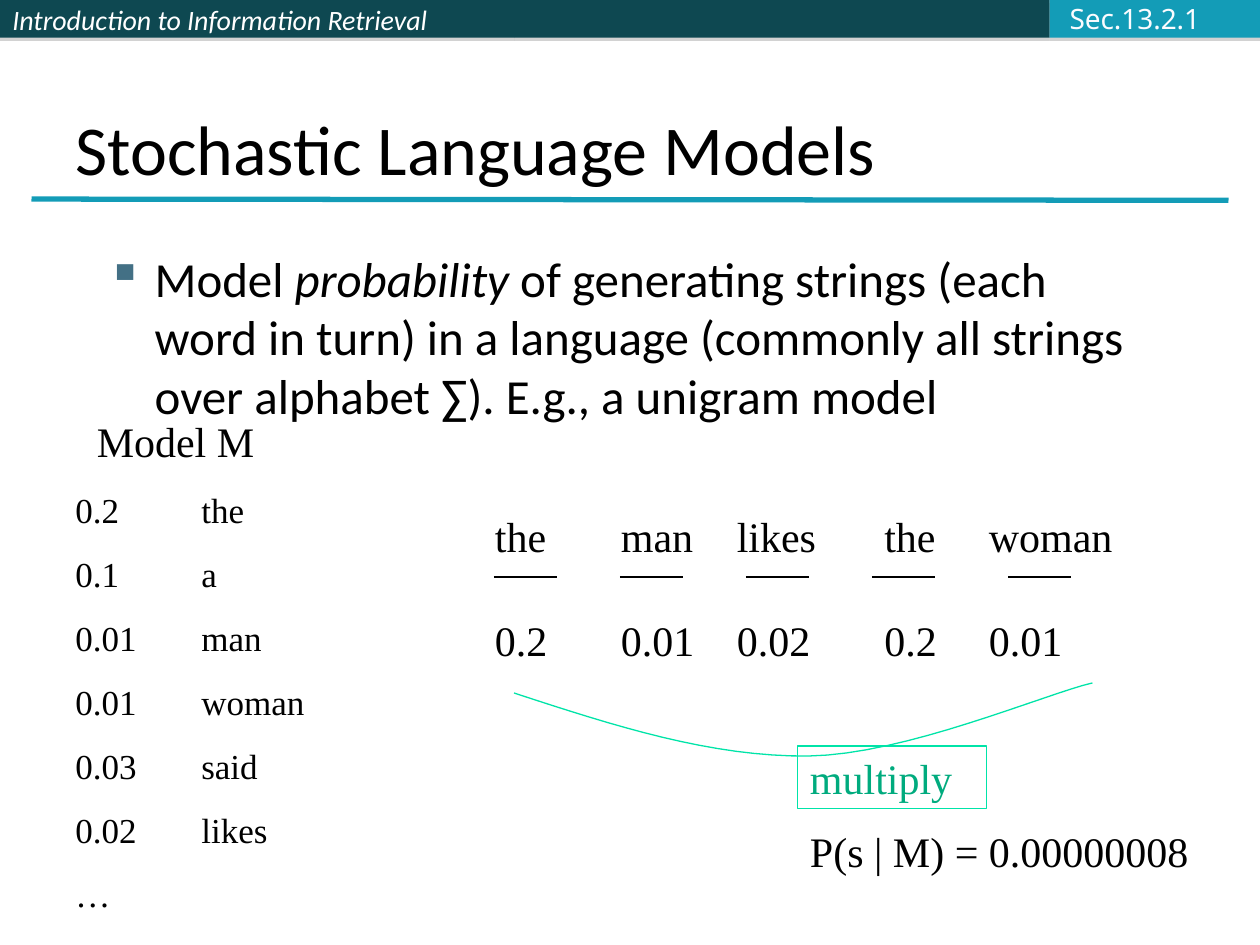
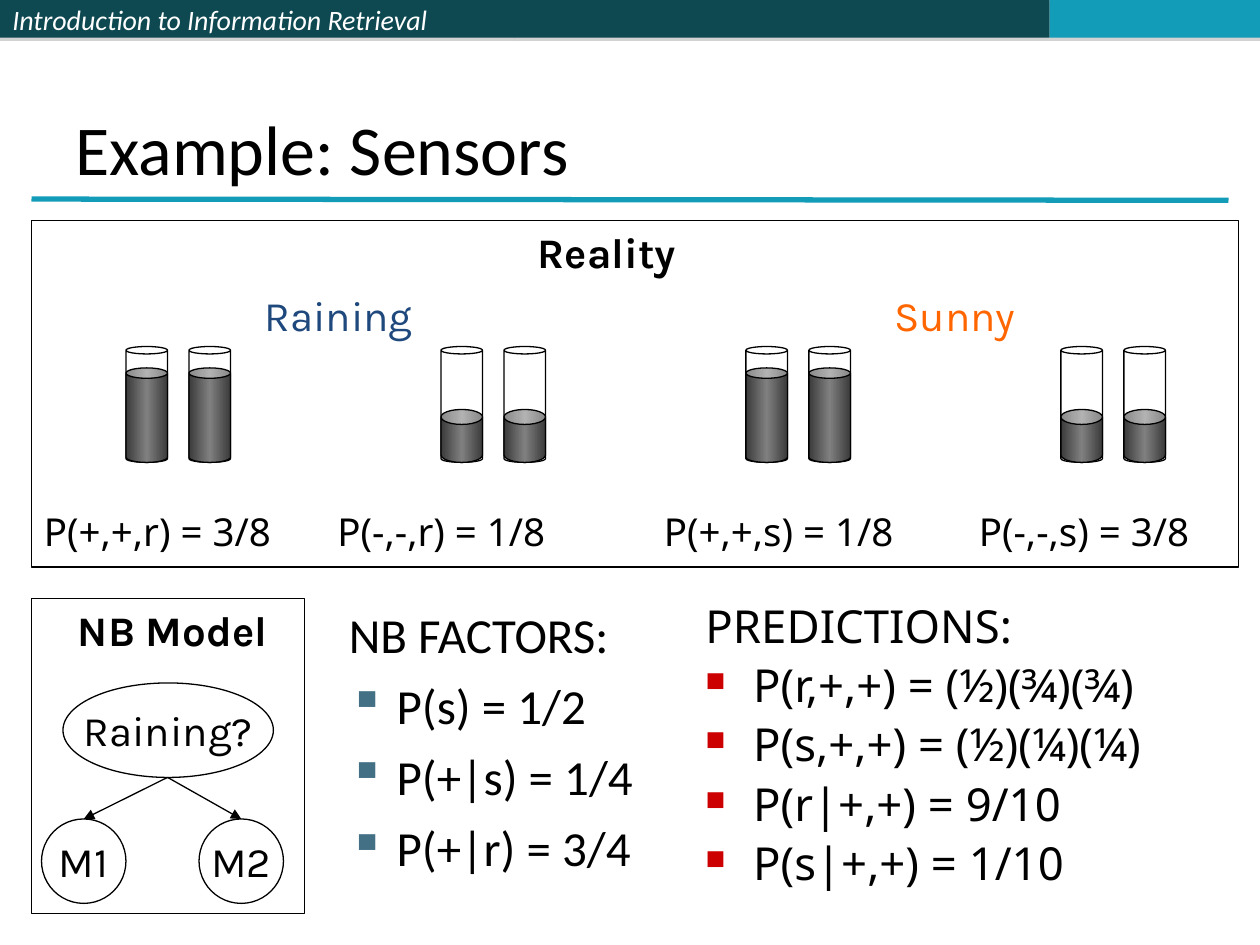
from pptx import Presentation
from pptx.dml.color import RGBColor
from pptx.enum.shapes import MSO_CONNECTOR, MSO_SHAPE
from pptx.enum.text import MSO_ANCHOR, PP_ALIGN
from pptx.oxml import parse_xml
from pptx.oxml.ns import nsdecls
from pptx.util import Inches, Pt

STRAIGHT = MSO_CONNECTOR.STRAIGHT
RECTANGLE, OVAL, CAN = MSO_SHAPE.RECTANGLE, MSO_SHAPE.OVAL, MSO_SHAPE.CAN
TOP, MIDDLE, BOTTOM = MSO_ANCHOR.TOP, MSO_ANCHOR.MIDDLE, MSO_ANCHOR.BOTTOM
LEFT, CENTER = PP_ALIGN.LEFT, PP_ALIGN.CENTER

BLACK = RGBColor(0x00, 0x00, 0x00)
WHITE = RGBColor(0xFF, 0xFF, 0xFF)
PALE = RGBColor(0xFB, 0xFC, 0xFF)
DARK_TEAL = RGBColor(0x0E, 0x48, 0x51)
TEAL = RGBColor(0x13, 0x9C, 0xB7)
SLATE = RGBColor(0x43, 0x70, 0x85)
RED = RGBColor(0xCC, 0x00, 0x00)
MINT = RGBColor(0x00, 0xE4, 0xA8)
GREEN = RGBColor(0x00, 0xAB, 0x7E)
NAVY = RGBColor(0x1F, 0x49, 0x7D)
ORANGE = RGBColor(0xFF, 0x66, 0x00)

CALIBRI, KARLA, NOTO, TIMES = "Calibri", "Karla", "Noto Sans", "Times New Roman"

BAND_SHADOW = (
    f'<a:outerShdw {nsdecls("a")} dist="22860" dir="5400000">'
    '<a:srgbClr val="808080"><a:alpha val="35000"/></a:srgbClr></a:outerShdw>'
)
LIQUID_FILL = (
    f'<a:gradFill {nsdecls("a")}><a:gsLst>'
    '<a:gs pos="0"><a:srgbClr val="3B3B3B"/></a:gs>'
    '<a:gs pos="50000"><a:srgbClr val="808080"/></a:gs>'
    '<a:gs pos="100000"><a:srgbClr val="3B3B3B"/></a:gs>'
    '</a:gsLst><a:lin ang="10800000" scaled="0"/></a:gradFill>'
)


def bezier(start, control_a, control_b, end, steps=16):
    """Points along a cubic curve, without its start."""
    points = []
    for step in range(1, steps + 1):
        t = step / steps
        weights = ((1 - t) ** 3, 3 * t * (1 - t) ** 2, 3 * t * t * (1 - t), t ** 3)
        corners = (start, control_a, control_b, end)
        points.append(tuple(
            sum(w * corner[axis] for w, corner in zip(weights, corners)) for axis in (0, 1)
        ))
    return points


class Lecture:
    """Shared style and the page being drawn."""

    def __init__(self):
        self.deck = Presentation()
        self.deck.slide_width, self.deck.slide_height = Inches(10), Inches(7.5)
        self.page = None

    def start_page(self, title):
        self.page = self.deck.slides.add_slide(self.deck.slide_layouts[6])
        # Header bands
        bands = [(0, 4.08, DARK_TEAL), (4.08, 4.25, DARK_TEAL), (8.33, 1.67, TEAL)]
        for left, width, color in bands:
            band = self.shape(RECTANGLE, left, 0, width, 0.3, fill=color, line=None)
            band._element.spPr.find("{*}effectLst").append(parse_xml(BAND_SHADOW))
            if left == 0:
                self.set_text(band, ["*Introduction to Information Retrieval*"], CALIBRI, 16,
                              WHITE, anchor=MIDDLE)
        # Title and rule
        self.line((0.25, 1.58), (9.75, 1.59), TEAL, 3)
        self.text(0.5, 0.3, 9, 1.25, [title], CALIBRI, 40, anchor=BOTTOM)

    def set_text(self, box, lines, font, size, color=BLACK, bold=False, align=LEFT,
                 anchor=TOP, wrap=True, before=0, spacing=None, tab=None, bullet=None,
                 heading=False):
        """Fill a box; text between asterisks is italic, bullet is (sign, colour, percent)."""
        frame = box.text_frame
        frame.word_wrap, frame.vertical_anchor = wrap, anchor
        for index, line in enumerate(lines):
            para = frame.paragraphs[0] if index == 0 else frame.add_paragraph()
            para.alignment = align
            para.space_before = Pt(before if index else 0)
            if spacing:
                para.line_spacing = spacing
            properties = para._p.get_or_add_pPr()
            if bullet:
                properties.set("marL", str(Inches(0.38)))
                properties.set("indent", str(Inches(-0.38)))
                if index or not heading:
                    sign, sign_color, percent = bullet
                    for xml in (
                        f'<a:buClr {nsdecls("a")}><a:srgbClr val="{sign_color}"/></a:buClr>',
                        f'<a:buSzPct {nsdecls("a")} val="{percent * 1000}"/>',
                        f'<a:buChar {nsdecls("a")} char="{sign}"/>',
                    ):
                        properties.append(parse_xml(xml))
            if tab:
                properties.append(parse_xml(
                    f'<a:tabLst {nsdecls("a")}><a:tab pos="{Inches(tab)}" algn="l"/></a:tabLst>'
                ))
            for part, words in enumerate(line.split("*")):
                if not words:
                    continue
                span = para.add_run()
                span.text = words
                span.font.name, span.font.size = font, Pt(size)
                span.font.bold, span.font.italic = bold, part % 2 == 1
                span.font.color.rgb = color

    def text(self, left, top, width, height, lines, font, size, color=BLACK, **style):
        box = self.page.shapes.add_textbox(
            Inches(left), Inches(top), Inches(width), Inches(height))
        self.set_text(box, lines, font, size, color, **style)

    def shape(self, kind, left, top, width, height, fill=None, line=BLACK):
        shape = self.page.shapes.add_shape(
            kind, Inches(left), Inches(top), Inches(width), Inches(height))
        self.paint(shape, fill, line)
        return shape

    def paint(self, shape, fill, line):
        shape.shadow.inherit = False
        if fill is None:
            shape.fill.background()
        else:
            shape.fill.solid()
            shape.fill.fore_color.rgb = fill
        if line is None:
            shape.line.fill.background()
        else:
            shape.line.color.rgb = line
            shape.line.width = Pt(0.75)

    def line(self, start, end, color=BLACK, width=0.75, arrow=False):
        line = self.page.shapes.add_connector(
            STRAIGHT, *(Inches(value) for value in (*start, *end)))
        line.line.color.rgb, line.line.width = color, Pt(width)
        properties = line._element.spPr
        if arrow:
            properties.find("{*}ln").append(
                parse_xml(f'<a:tailEnd {nsdecls("a")} type="triangle"/>'))
        properties.append(parse_xml(f'<a:effectLst {nsdecls("a")}/>'))
        return line

    def curve(self, points, color):
        points = [(Inches(x), Inches(y)) for x, y in points]
        builder = self.page.shapes.build_freeform(*points[0])
        builder.add_line_segments(points[1:], close=False)
        self.paint(builder.convert_to_shape(), None, color)

    def tube(self, left, level, lid):
        """A glass tube, filled up to the given height."""
        glass = self.shape(CAN, left, 2.75, 0.33, 0.92, fill=WHITE)
        glass.adjustments[0] = 0.18
        liquid = self.shape(CAN, left, 3.67 - level, 0.33, level)
        liquid.adjustments[0] = lid
        properties = liquid._element.spPr
        properties.replace(properties.find("{*}noFill"), parse_xml(LIQUID_FILL))


def language_models(lecture):
    lecture.start_page("Stochastic Language Models")
    lecture.text(8.39, -0.04, 1.24, 0.37, ["Sec.13.2.1"], NOTO, 16, PALE,
                 anchor=MIDDLE, wrap=False)
    lecture.text(0.75, 1.92, 8.5, 1.5, [
        "Model *probability* of generating strings (each word in turn) in a language "
        "(commonly all strings over alphabet ∑). E.g., a unigram model"
    ], CALIBRI, 28, bullet=("▪", SLATE, 100))

    # Model table
    lecture.text(0.67, 3.25, 1.5, 0.5, ["Model M"], TIMES, 24)
    lecture.text(0.5, 3.83, 2.67, 3.48, [
        "0.2\tthe", "0.1\ta", "0.01\tman", "0.01\twoman", "0.03\tsaid", "0.02\tlikes", "…",
    ], TIMES, 20, before=12.5, tab=1)

    # Sentence with a probability under each word
    words = [
        (3.83, 0.67, 3.92, "the", "0.2"),
        (4.83, 0.83, 4.92, "man", "0.01"),
        (5.75, 0.83, 5.92, "likes", "0.02"),
        (6.92, 0.83, 6.92, "the", "0.2"),
        (7.75, 1.5, 8, "woman", "0.01"),
    ]
    for left, width, dash, word, probability in words:
        lecture.text(left, 4, width, 0.5, [word], TIMES, 24)
        lecture.line((dash, 4.58), (dash + 0.5, 4.58))
        lecture.text(left, 4.83, width, 0.5, [probability], TIMES, 24)

    # Product
    start, bottom, end = (4.08, 5.5), (6.42, 6), (8.67, 5.42)
    lecture.curve([start] + bezier(start, (4.87, 5.76), (5.65, 6.01), bottom)
                  + bezier(bottom, (7.18, 5.99), (8.29, 5.51), end), MINT)
    multiply = lecture.shape(RECTANGLE, 6.33, 5.92, 1.5, 0.5, line=MINT)
    lecture.set_text(multiply, ["multiply"], TIMES, 24, GREEN)
    lecture.text(6.33, 6.5, 3.25, 0.5, ["P(s | M) = 0.00000008"], TIMES, 24)


def sensors(lecture):
    lecture.start_page("Example: Sensors")

    # Reality
    lecture.shape(RECTANGLE, 0.25, 1.75, 9.58, 2.75)
    lecture.text(4.17, 1.75, 1.42, 0.5, ["Reality"], KARLA, 24, bold=True)
    lecture.text(2, 2.25, 1.42, 0.5, ["Raining"], KARLA, 24, NAVY)
    lecture.text(7, 2.25, 1.42, 0.5, ["Sunny"], KARLA, 24, ORANGE)
    full, low = (0.75, 0.25), (0.42, 0.36)
    readings = [
        (1, full, 0.25, "P(+,+,r) = 3/8"),
        (3.5, low, 2.58, "P(-,-,r) = 1/8"),
        (5.92, full, 5.17, "P(+,+,s) = 1/8"),
        (8.42, low, 7.67, "P(-,-,s) = 3/8"),
    ]
    for tube_left, (level, lid), label_left, label in readings:
        for offset in (0, 0.5):
            lecture.tube(tube_left + offset, level, lid)
        lecture.text(label_left, 3.98, 2.25, 0.47, [label], NOTO, 22)

    # Model graph
    lecture.shape(RECTANGLE, 0.25, 4.75, 2.17, 2.5)
    lecture.text(0.33, 4.75, 2.08, 0.5, ["NB Model"], KARLA, 24, bold=True, align=CENTER)
    nodes = [
        ("Raining?", 0.5, 5.42, 1.67, 0.75),
        ("M1", 0.33, 6.5, 0.67, 0.67),
        ("M2", 1.58, 6.5, 0.67, 0.67),
    ]
    for name, left, top, width, height in nodes:
        node = lecture.shape(OVAL, left, top, width, height)
        lecture.set_text(node, [name], KARLA, 24, align=CENTER, anchor=MIDDLE, wrap=False)
        if name != "Raining?":
            arrow = lecture.line((1.33, 6.17), (left + width / 2, top), arrow=True)
            arrow.end_connect(node, 0)

    # Factors and predictions
    lecture.text(2.67, 4.75, 2.75, 2.58, [
        "NB FACTORS:", "P(s) = 1/2", "P(+|s) = 1/4", "P(+|r) = 3/4",
    ], CALIBRI, 28, before=7, bullet=("▪", SLATE, 100), heading=True)
    lecture.text(5.5, 4.75, 4.33, 2.58, [
        "PREDICTIONS:", "P(r,+,+) = (½)(¾)(¾)", "P(s,+,+) = (½)(¼)(¼)",
        "P(r|+,+) = 9/10", "P(s|+,+) = 1/10",
    ], NOTO, 26, before=6.5, spacing=0.88, bullet=("■", RED, 60), heading=True)


def main():
    lecture = Lecture()
    language_models(lecture)
    sensors(lecture)
    lecture.deck.save("out.pptx")


if __name__ == "__main__":
    main()
